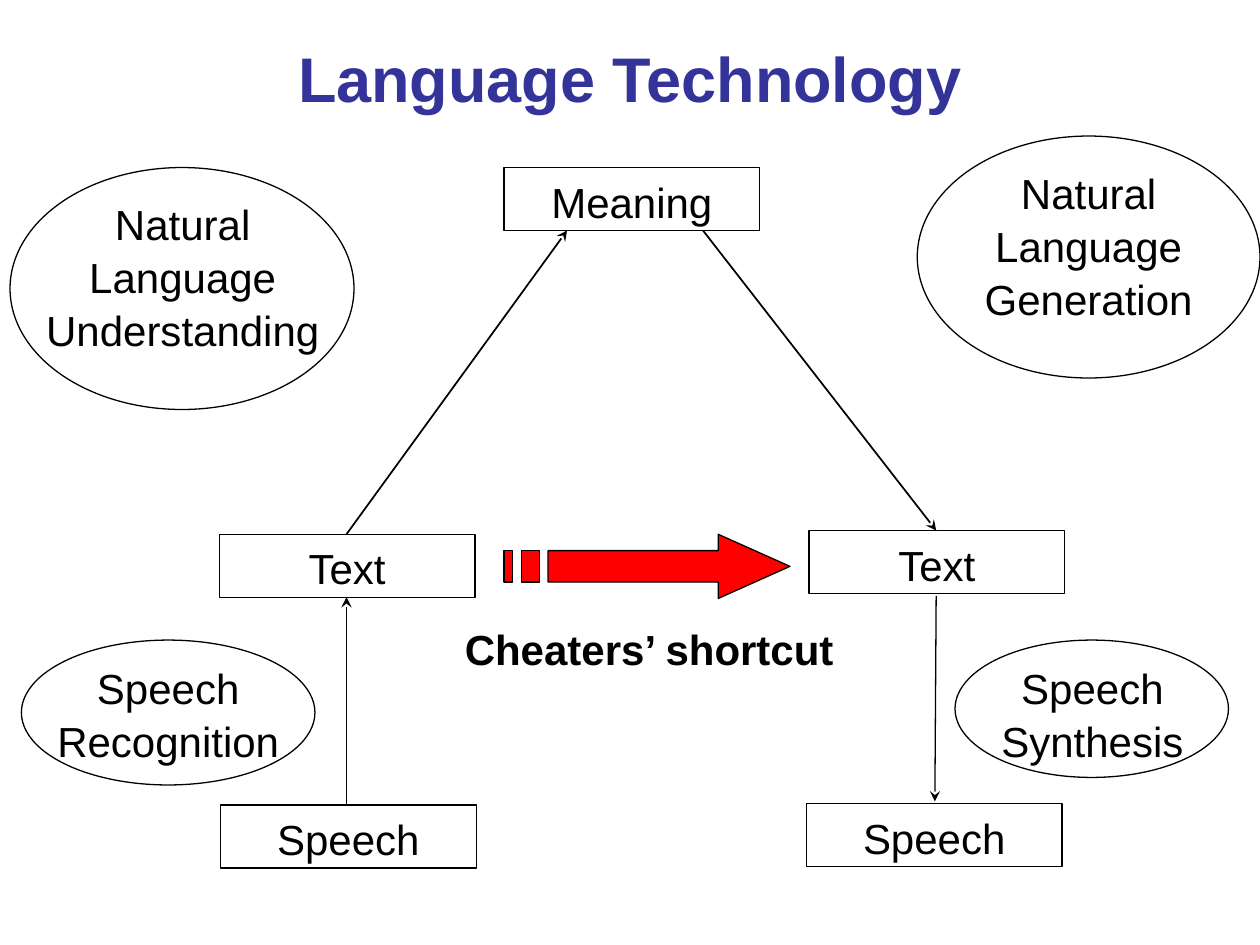
import pptx
import pptx.util
import pptx.dml.color
import pptx.enum.shapes
import pptx.enum.text
import pptx.oxml

Inches = pptx.util.Inches
Pt = pptx.util.Pt
RGBColor = pptx.dml.color.RGBColor
SHAPE = pptx.enum.shapes.MSO_SHAPE
ALIGN = pptx.enum.text.PP_ALIGN
ANCHOR = pptx.enum.text.MSO_ANCHOR

BLACK = RGBColor(0x00, 0x00, 0x00)
BLUE = RGBColor(0x33, 0x33, 0x99)
RED = RGBColor(0xFF, 0x00, 0x00)
NS = "http://schemas.openxmlformats.org/drawingml/2006/main"


def write(shape, text, size=24, color=BLACK, bold=False, align=ALIGN.CENTER,
          anchor=ANCHOR.TOP, space=1.05):
    frame = shape.text_frame
    frame.word_wrap = True
    frame.vertical_anchor = anchor
    para = frame.paragraphs[0]
    para.text = text
    para.alignment = align
    para.line_spacing = space
    para.font.name = "Arial"
    para.font.size = Pt(size)
    para.font.bold = bold
    para.font.color.rgb = color


def label(shapes, box, text, **style):
    write(shapes.add_textbox(*map(Inches, box)), text, **style)


def outline(shapes, kind, box):
    """Outlined shape without fill."""
    shape = shapes.add_shape(kind, *map(Inches, box))
    shape.shadow.inherit = False
    shape.fill.background()
    shape.line.color.rgb = BLACK
    shape.line.width = Pt(0.75)
    return shape


def stage(slide, left, top, text):
    """Box for one level of language."""
    write(outline(slide.shapes, SHAPE.RECTANGLE, (left, top, 2.03, 0.5)), text)


def task(slide, oval, box, text):
    """Oval that names a task, grouped with its label."""
    group = slide.shapes.add_group_shape()
    outline(group.shapes, SHAPE.OVAL, oval)
    label(group.shapes, box, text)


def arrow(slide, start, end, width):
    line = slide.shapes.add_connector(
        pptx.enum.shapes.MSO_CONNECTOR.STRAIGHT, *map(Inches, start + end))
    line.line.color.rgb = BLACK
    line.line.width = Pt(width)
    props = line._element.spPr
    props.find(f"{{{NS}}}ln").append(pptx.oxml.parse_xml(
        f'<a:tailEnd xmlns:a="{NS}" type="stealth"/>'))
    props.append(pptx.oxml.parse_xml(f'<a:effectLst xmlns:a="{NS}"/>'))


def shortcut(slide, left, top, width, height):
    """Red arrow with two stripes behind its shaft."""
    right, low = left + width, top + height
    neck, upper, lower = right - 0.57, top + 0.13, low - 0.13

    def stripe(start, end):
        return [(start, upper), (end, upper), (end, lower), (start, lower)]

    shaft = left + 0.35
    head = [(shaft, upper), (neck, upper), (neck, top),
            (right, top + height / 2), (neck, low), (neck, lower),
            (shaft, lower)]
    parts = [head, stripe(left, left + 0.07), stripe(left + 0.14, left + 0.28)]
    build = slide.shapes.build_freeform(
        Inches(shaft), Inches(upper), scale=1.0)
    for index, part in enumerate(parts):
        points = [(Inches(x), Inches(y)) for x, y in part]
        if index:
            build.move_to(*points[0])
        build.add_line_segments(points[1:], close=True)
    shape = build.convert_to_shape()
    shape.shadow.inherit = False
    shape.fill.solid()
    shape.fill.fore_color.rgb = RED
    shape.line.color.rgb = BLACK
    shape.line.width = Pt(0.75)


def main():
    deck = pptx.Presentation()
    deck.slide_width, deck.slide_height = Inches(10), Inches(7.5)
    slide = deck.slides.add_slide(deck.slide_layouts[6])

    # Title
    label(slide.shapes, (0.5, 0.3, 9, 0.62), "Language Technology", size=36,
          color=BLUE, bold=True, anchor=ANCHOR.MIDDLE, space=1.0)

    # Stages, up the left side and down the right
    for left, top, text in [
        (1.75, 6.39, "Speech"), (1.74, 4.24, "Text"), (4, 1.33, "Meaning"),
        (6.42, 4.21, "Text"), (6.4, 6.38, "Speech"),
    ]:
        stage(slide, left, top, text)

    # Steps between the stages
    for start, end, width in [
        ((2.75, 6.38), (2.75, 4.74), 0.75), ((2.75, 4.24), (4.5, 1.83), 1),
        ((5.58, 1.83), (7.43, 4.21), 1), ((7.43, 4.73), (7.42, 6.36), 0.75),
    ]:
        arrow(slide, start, end, width)

    # Tasks beside the steps
    for oval, box, text in [
        ((0.08, 1.33, 2.73, 1.92), (0.16, 1.51, 2.58, 1.3),
         "Natural Language Understanding"),
        ((7.28, 1.08, 2.72, 1.92), (7.33, 1.26, 2.62, 1.3),
         "Natural Language Generation"),
        ((0.17, 5.08, 2.33, 1.15), (0.17, 5.19, 2.33, 0.9),
         "Speech Recognition"),
        ((7.58, 5.08, 2.17, 1.09), (7.83, 5.19, 1.68, 0.9),
         "Speech Synthesis"),
    ]:
        task(slide, oval, box, text)

    # Shortcut from text to text
    shortcut(slide, 4, 4.24, 2.27, 0.51)
    label(slide.shapes, (3.59, 4.88, 3.31, 0.5), "Cheaters’ shortcut",
          bold=True, align=ALIGN.LEFT)

    deck.save("out.pptx")


if __name__ == "__main__":
    main()
